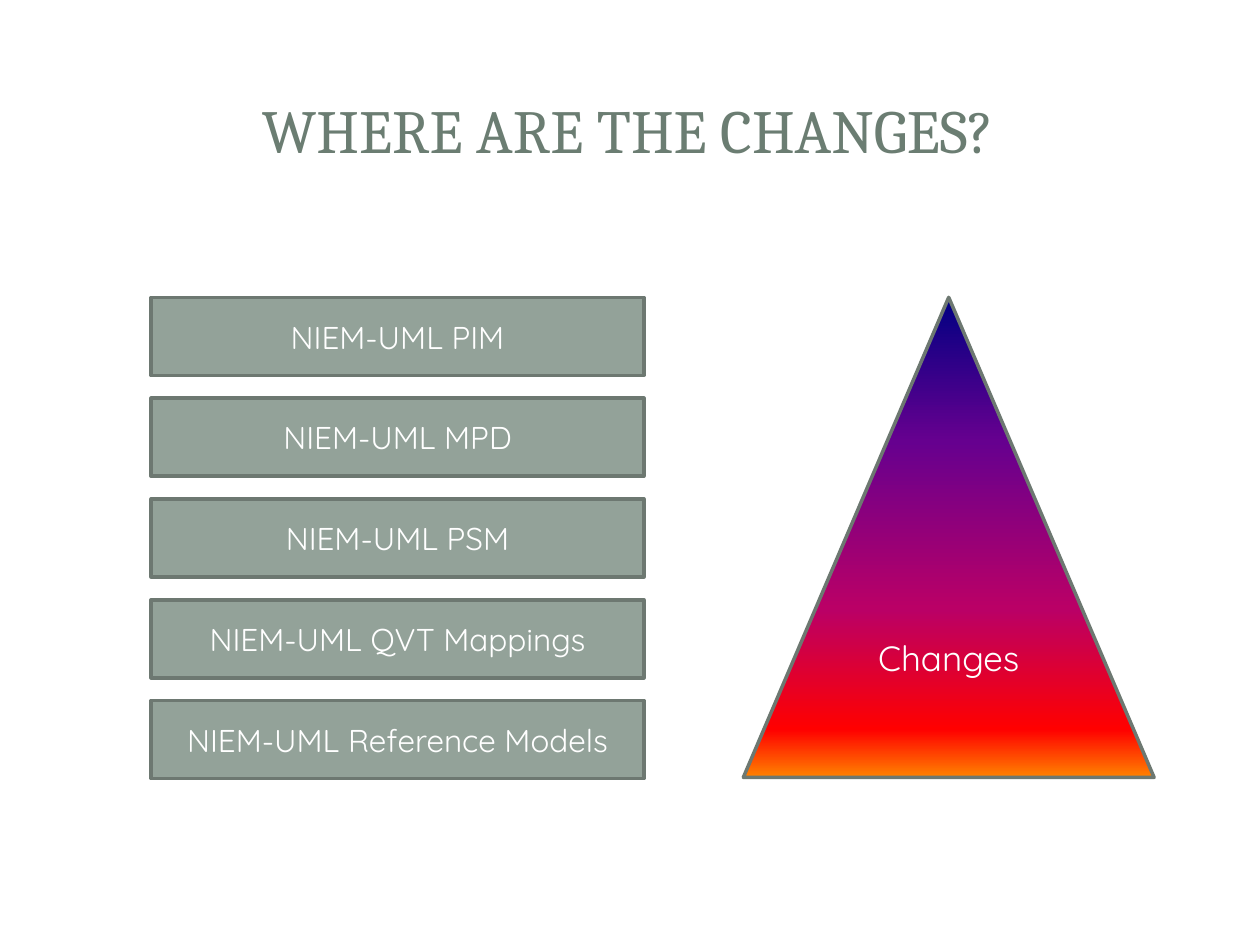
from dataclasses import dataclass

from lxml.etree import SubElement
from pptx import Presentation
from pptx.dml.color import RGBColor
from pptx.enum.shapes import MSO_SHAPE
from pptx.enum.text import MSO_ANCHOR, PP_ALIGN
from pptx.oxml.ns import qn
from pptx.util import Inches, Pt


@dataclass(frozen=True)
class Theme:
    heading_font: str = "Cambria"
    body_font: str = "Quicksand"
    heading_color: str = "6B7D72"
    box_fill: str = "93A299"
    outline: str = "6D7871"
    text_color: str = "FFFFFF"
    heading_size: int = 35
    box_size: int = 18
    triangle_size: int = 20
    outline_width: int = 2
    gradient: tuple = (
        (0, "000082"),
        (30, "66008F"),
        (65, "BA0066"),
        (90, "FF0000"),
        (100, "FF8200"),
    )


class SlideBuilder:
    """Draws styled elements on the current slide."""

    def __init__(self, slide, theme):
        self.slide = slide
        self.theme = theme

    def set_text(self, shape, text, font_name, size, color):
        frame = shape.text_frame
        frame.word_wrap = True
        frame.vertical_anchor = MSO_ANCHOR.MIDDLE
        frame.text = text
        paragraph = frame.paragraphs[0]
        paragraph.alignment = PP_ALIGN.CENTER
        paragraph.font.name = font_name
        paragraph.font.size = Pt(size)
        paragraph.font.color.rgb = RGBColor.from_string(color)

    def title(self, text, left, top, width, height):
        shape = self.slide.shapes.title
        shape.left, shape.top = Inches(left), Inches(top)
        shape.width, shape.height = Inches(width), Inches(height)
        theme = self.theme
        self.set_text(shape, text, theme.heading_font, theme.heading_size, theme.heading_color)

    def outlined_shape(self, kind, text, size, left, top, width, height):
        shape = self.slide.shapes.add_shape(
            kind, Inches(left), Inches(top), Inches(width), Inches(height)
        )
        shape.shadow.inherit = False
        shape.line.color.rgb = RGBColor.from_string(self.theme.outline)
        shape.line.width = Pt(self.theme.outline_width)
        self.set_text(shape, text, self.theme.body_font, size, self.theme.text_color)
        return shape

    def box(self, text, left, top, width, height):
        shape = self.outlined_shape(
            MSO_SHAPE.RECTANGLE, text, self.theme.box_size, left, top, width, height
        )
        shape.fill.solid()
        shape.fill.fore_color.rgb = RGBColor.from_string(self.theme.box_fill)

    def gradient_triangle(self, text, left, top, width, height):
        shape = self.outlined_shape(
            MSO_SHAPE.ISOSCELES_TRIANGLE, text, self.theme.triangle_size, left, top, width, height
        )
        shape.fill.gradient()
        shape.fill.gradient_angle = 270
        stops = shape.element.spPr.find(f"{qn('a:gradFill')}/{qn('a:gsLst')}")
        for stop in list(stops):
            stops.remove(stop)
        for percent, color in self.theme.gradient:
            stop = SubElement(stops, qn("a:gs"), pos=str(percent * 1000))
            SubElement(stop, qn("a:srgbClr"), val=color)


def main():
    presentation = Presentation()
    presentation.slide_width, presentation.slide_height = Inches(10), Inches(7.5)
    slide = presentation.slides.add_slide(presentation.slide_layouts[5])
    builder = SlideBuilder(slide, Theme())
    builder.title("WHERE ARE THE CHANGES?", 0.47, 0.45, 9.03, 1.14)

    top, pitch = 2.36, 0.8
    layers = ("PIM", "MPD", "PSM", "QVT Mappings", "Reference Models")
    for row, layer in enumerate(layers):
        builder.box(f"NIEM-UML {layer}", 1.2, top + row * pitch, 3.91, 0.62)
    builder.gradient_triangle("Changes", 5.9, top, 3.26, 3.81)

    presentation.save("out.pptx")


if __name__ == "__main__":
    main()
